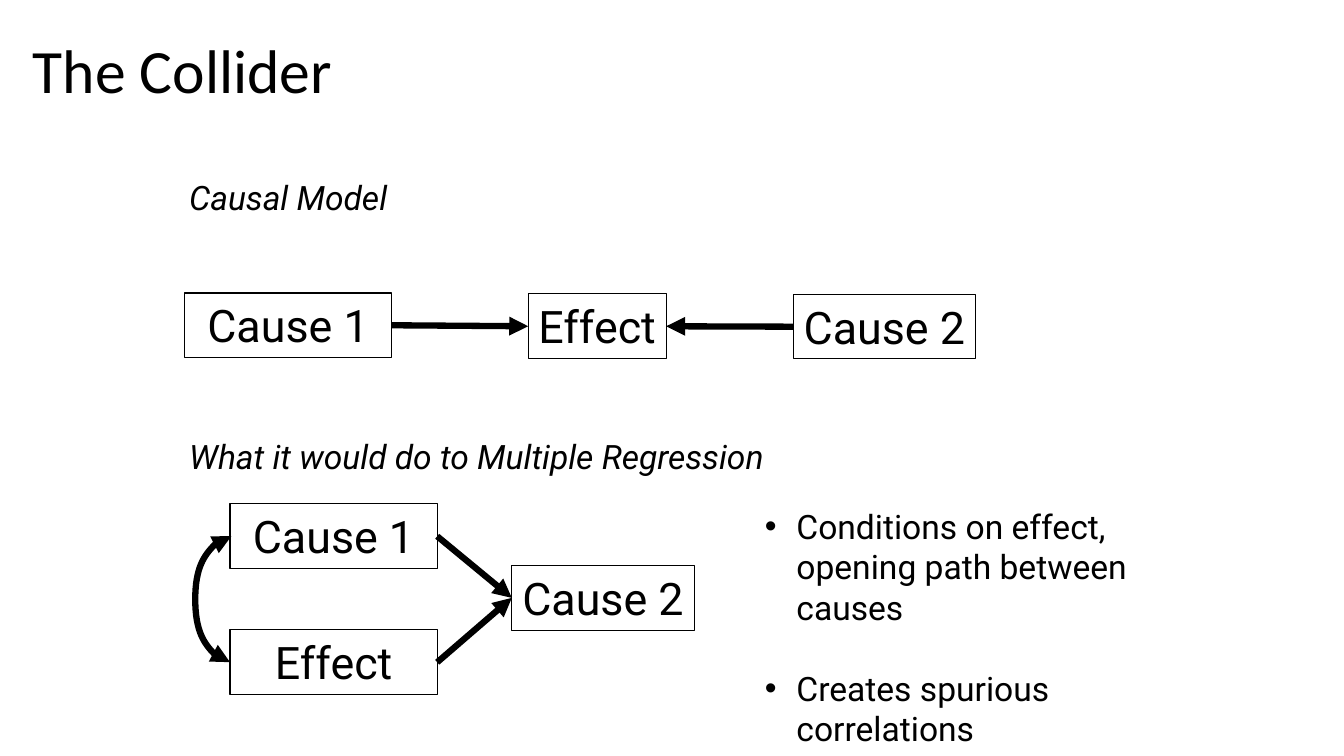
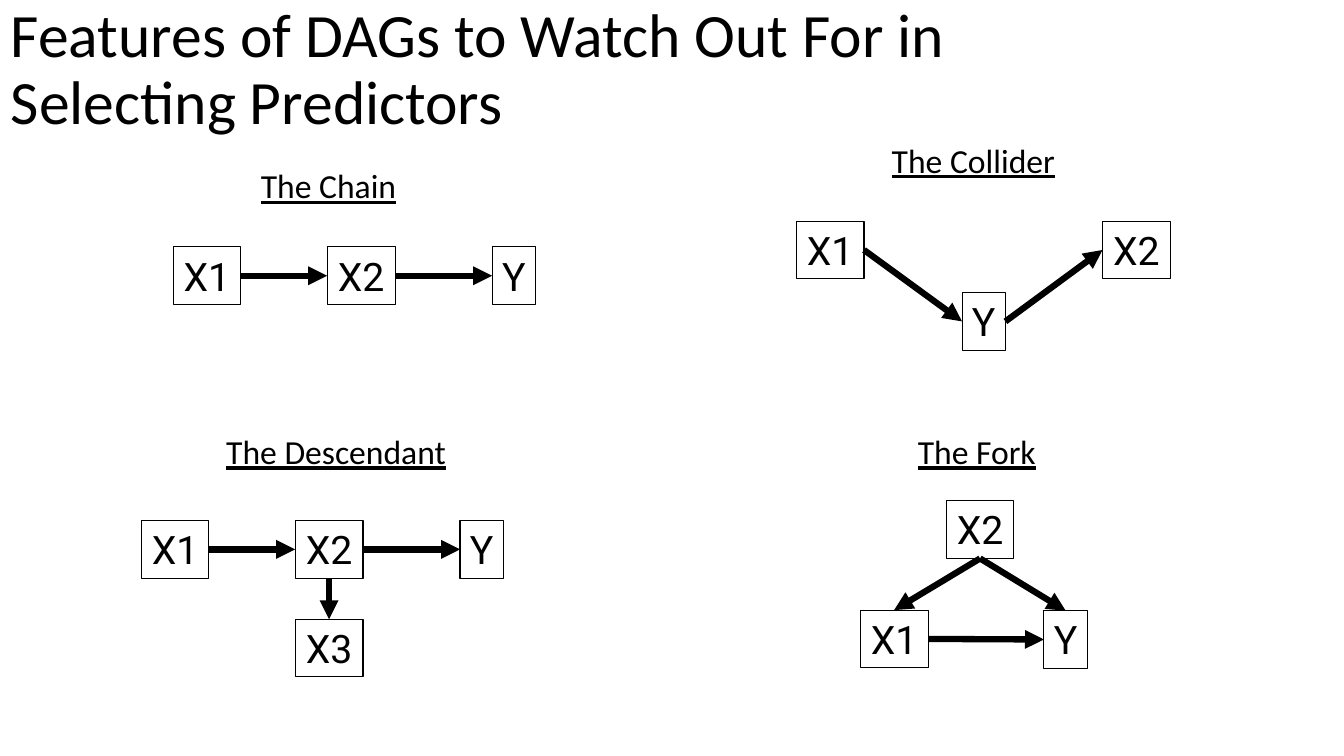
from dataclasses import dataclass

from lxml import etree
from pptx import Presentation
from pptx.dml.color import RGBColor
from pptx.enum import shapes, text
from pptx.oxml import ns
from pptx.util import Pt


@dataclass(frozen=True)
class Theme:
    ink: RGBColor = RGBColor(0, 0, 0)
    head: str = "Calibri"
    body: str = "Roboto"
    title: int = 44
    note: int = 24
    rule: float = 0.75
    arrow: float = 4.5


theme = Theme()
TOP, LEFT, BOTTOM, RIGHT = range(4)
A = text.PP_ALIGN


def write(shape, lines, face, size, align=A.LEFT, wrap=False, bullet=False,
          italic=None, under=None, gap=0, pitch=None):
    frame = shape.text_frame
    frame.word_wrap = wrap
    frame.vertical_anchor = text.MSO_ANCHOR.TOP
    for i, line in enumerate(lines):
        para = frame.paragraphs[0] if i == 0 else frame.add_paragraph()
        para.text = line
        para.alignment = align
        if i and gap:
            para.space_before = Pt(gap)
        if pitch:
            para.line_spacing = pitch
        if bullet:
            props = para._p.get_or_add_pPr()
            props.set("marL", str(Pt(22.5)))
            props.set("indent", str(-Pt(22.5)))
            etree.SubElement(props, ns.qn("a:buFont"), typeface="Arial")
            etree.SubElement(props, ns.qn("a:buChar"), char="•")
        font = para.font
        font.name, font.size = face, Pt(size)
        font.italic, font.underline = italic, under
        font.color.rgb = theme.ink
    return frame


def draw(slide, kind, ends, tips=("tailEnd",)):
    wire = slide.shapes.add_connector(kind, *[Pt(n) for n in ends])
    wire.line.color.rgb = theme.ink
    wire.line.width = Pt(theme.arrow)
    props = wire._element.spPr
    for tip in tips:
        etree.SubElement(props.find(ns.qn("a:ln")), ns.qn("a:" + tip), type="triangle")
    etree.SubElement(props, ns.qn("a:effectLst"))
    return wire


# Content: heads are (text, left, top, width), nodes are key: (text, left, top, width),
# links are (from, side, to, side)
X, Y = 48.5, 31
pages = [
    dict(
        title="The Collider", at=(16.5, 0), size=32, tall=46.1,
        style=dict(face=theme.body, italic=True),
        heads=[("Causal Model", 128, 122.5, 163.5),
               ("What it would do to Multiple Regression", 128, 308, 454)],
        nodes={
            "cause": ("Cause 1", 131.8, 209.3, 148),
            "effect": ("Effect", 377.3, 210, 98.6),
            "other": ("Cause 2", 566.6, 210.3, 130.3),
            "cause2": ("Cause 1", 164.3, 360, 148),
            "effect2": ("Effect", 164.3, 450, 148),
            "other2": ("Cause 2", 365.6, 404, 130.3),
        },
        links=[("cause", RIGHT, "effect", LEFT), ("other", LEFT, "effect", RIGHT),
               ("cause2", RIGHT, "other2", LEFT), ("effect2", RIGHT, "other2", LEFT)],
    ),
    dict(
        title="Features of DAGs to Watch Out For in Selecting Predictors",
        at=(0.7, -1.5), size=28, tall=41.2,
        style=dict(face=theme.head, under=True, align=A.CENTER),
        heads=[("The Chain", 178.5, 114.5, 112.3), ("The Collider", 629, 96.3, 132.5),
               ("The Descendant", 153.3, 304.3, 173.5), ("The Fork", 648, 304.3, 99.4)],
        nodes={
            "chain1": ("X1", 123.6, 176.4, X),
            "chain2": ("X2", 233.7, 176.4, X),
            "chainY": ("Y", 351.5, 176.4, Y),
            "coll1": ("X1", 568.7, 158, X),
            "coll2": ("X2", 787.5, 158, X),
            "collY": ("Y", 687.2, 209, Y),
            "desc1": ("X1", 100.8, 371.8, X),
            "desc2": ("X2", 210.8, 371.8, X),
            "descY": ("Y", 328.6, 371.8, Y),
            "desc3": ("X3", 210.8, 442.3, X),
            "fork2": ("X2", 675.8, 357.7, X),
            "fork1": ("X1", 614.4, 435.8, X),
            "forkY": ("Y", 745.7, 436.2, Y),
        },
        links=[("chain1", RIGHT, "chain2", LEFT), ("chain2", RIGHT, "chainY", LEFT),
               ("coll1", RIGHT, "collY", LEFT), ("collY", RIGHT, "coll2", LEFT),
               ("desc1", RIGHT, "desc2", LEFT), ("desc2", RIGHT, "descY", LEFT),
               ("desc2", BOTTOM, "desc3", TOP), ("fork2", BOTTOM, "fork1", TOP),
               ("fork2", BOTTOM, "forkY", TOP), ("fork1", RIGHT, "forkY", LEFT)],
    ),
]

deck = Presentation()
deck.slide_width, deck.slide_height = Pt(960), Pt(540)

for page in pages:
    slide = deck.slides.add_slide(deck.slide_layouts[6])

    # Title
    box = slide.shapes.add_textbox(*[Pt(n) for n in (*page["at"], 828, 104.4)])
    frame = write(box, [page["title"]], theme.head, theme.title, wrap=True, pitch=0.9)
    frame.vertical_anchor = text.MSO_ANCHOR.MIDDLE

    # Diagram headings
    for words, left, top, wide in page["heads"]:
        box = slide.shapes.add_textbox(Pt(left), Pt(top), Pt(wide), Pt(36))
        write(box, [words], size=theme.note, **page["style"])

    # Variables
    nodes = {}
    for key, (words, left, top, wide) in page["nodes"].items():
        node = slide.shapes.add_shape(shapes.MSO_SHAPE.RECTANGLE, Pt(left), Pt(top),
                                      Pt(wide), Pt(page["tall"]))
        node.shadow.inherit = False
        node.fill.background()
        node.line.color.rgb = theme.ink
        node.line.width = Pt(theme.rule)
        write(node, [words], theme.body, page["size"], A.CENTER)
        nodes[key] = node

    # Arrows
    for start, side, end, face in page["links"]:
        wire = draw(slide, shapes.MSO_CONNECTOR.STRAIGHT, (0, 0, 0, 0))
        wire.begin_connect(nodes[start], side)
        wire.end_connect(nodes[end], face)

# Curved two-way path between the regression predictors
slide = deck.slides[0]
curve = draw(slide, shapes.MSO_CONNECTOR.CURVE, (165.3, 383, 164.3, 473),
             ("headEnd", "tailEnd"))
bend = curve._element.spPr.find(ns.qn("a:prstGeom")).get_or_add_avLst()
etree.SubElement(bend, ns.qn("a:gd"), name="adj1", fmla="val 2600000")

# Consequences
box = slide.shapes.add_textbox(Pt(539.3), Pt(357.8), Pt(300), Pt(181.4))
write(box, ["Conditions on effect, opening path between causes",
            "Creates spurious correlations"],
      theme.body, theme.note, wrap=True, bullet=True, gap=29)

deck.save("out.pptx")
